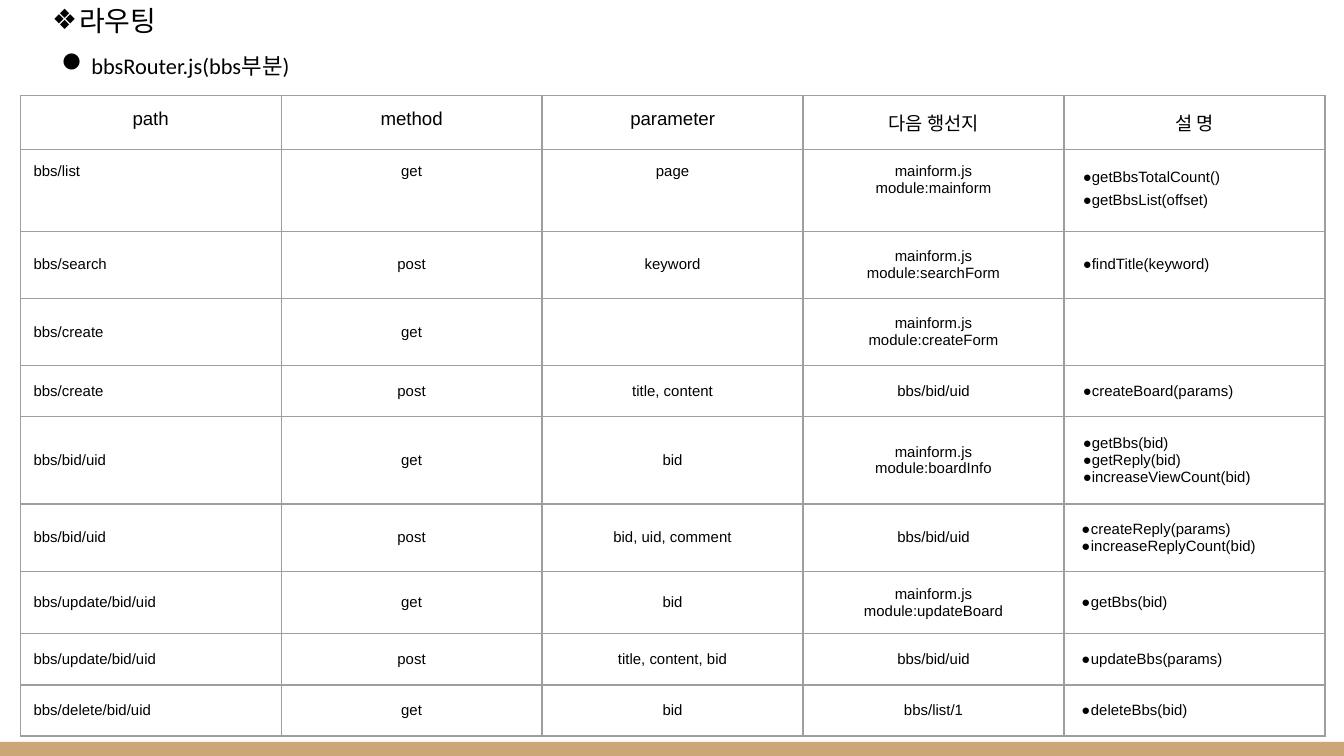
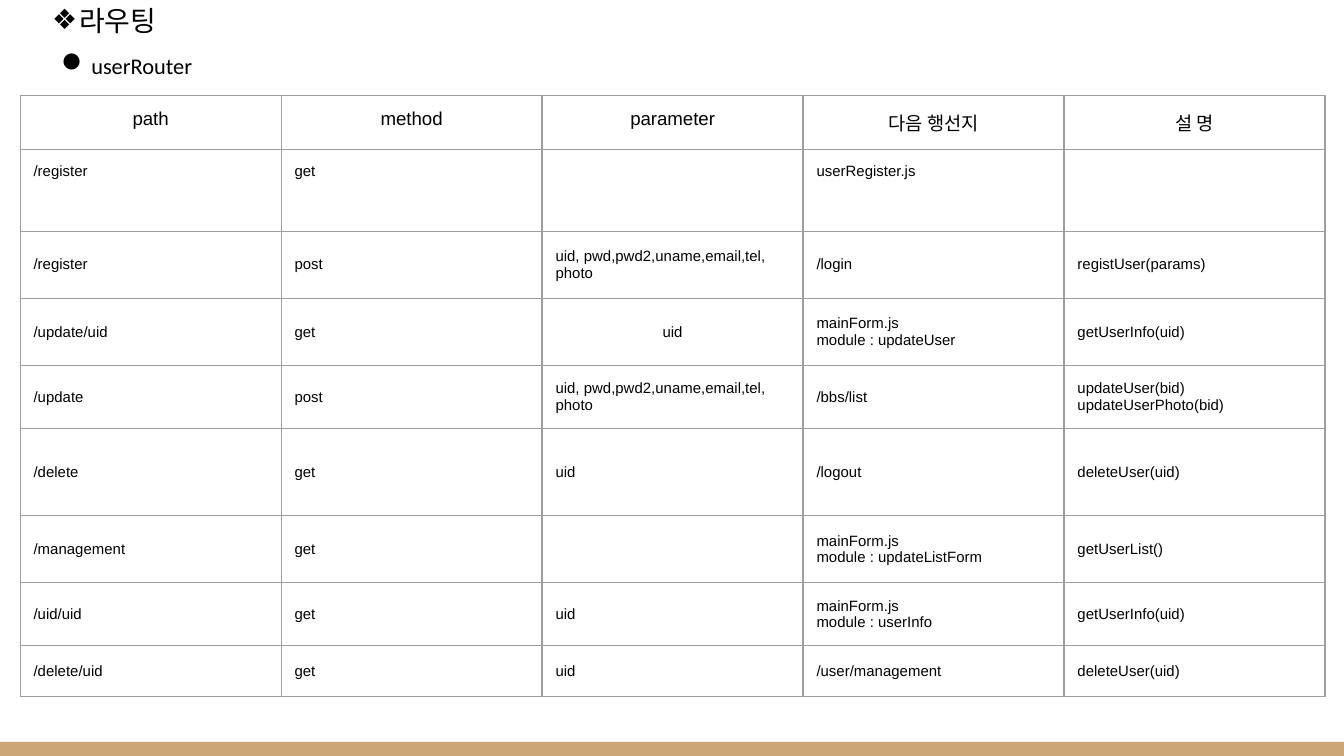
from lxml.etree import SubElement
from pptx import Presentation
from pptx.dml.color import RGBColor
from pptx.enum.shapes import MSO_SHAPE
from pptx.enum.text import MSO_ANCHOR, PP_ALIGN
from pptx.oxml import parse_xml
from pptx.oxml.ns import nsdecls, qn
from pptx.util import Inches, Pt

COLORS = {"text": "000000", "band": "CCA677", "border": "9E9E9E", "background": "FFFFFF"}
TITLE_FONT, TABLE_FONT = "Calibri", "Arial"
HEADING = "라우팅"
HEADERS = ["path", "method", "parameter", "다음 행선지", "설 명"]
ROW_HEIGHTS = [0.4, 0.61, 0.5, 0.5, 0.38, 0.65, 0.5, 0.38, 0.38, 0.38]
SLIDE_WIDTH = Inches(10)
SLIDE_HEIGHT = SLIDE_WIDTH * 9 // 16
TABLE_LEFT, TABLE_TOP, TABLE_WIDTH = 0.15, 0.71, 9.71
FRAME_SIZE = 3.28
LEFT, CENTER = PP_ALIGN.LEFT, PP_ALIGN.CENTER

# A line break in a cell starts a new paragraph.
BBS_ROUTES = [
    ("bbs/list", "get", "page", "mainform.js\nmodule:mainform",
     "getBbsTotalCount()\ngetBbsList(offset)"),
    ("bbs/search", "post", "keyword", "mainform.js\nmodule:searchForm", "findTitle(keyword)"),
    ("bbs/create", "get", "", "mainform.js\nmodule:createForm", ""),
    ("bbs/create", "post", "title, content", "bbs/bid/uid", "createBoard(params)"),
    ("bbs/bid/uid", "get", "bid", "mainform.js\nmodule:boardInfo",
     "getBbs(bid)\ngetReply(bid)\nincreaseViewCount(bid)"),
    ("bbs/bid/uid", "post", "bid, uid, comment", "bbs/bid/uid",
     "createReply(params)\nincreaseReplyCount(bid)"),
    ("bbs/update/bid/uid", "get", "bid", "mainform.js\nmodule:updateBoard", "getBbs(bid)"),
    ("bbs/update/bid/uid", "post", "title, content, bid", "bbs/bid/uid", "updateBbs(params)"),
    ("bbs/delete/bid/uid", "get", "bid", "bbs/list/1", "deleteBbs(bid)"),
]
USER_FIELDS = "uid, pwd,pwd2,uname,email,tel,\nphoto"
USER_ROUTES = [
    ("/register", "get", "", "userRegister.js", ""),
    ("/register", "post", USER_FIELDS, "/login", "registUser(params)"),
    ("/update/uid", "get", "uid", "mainForm.js\nmodule : updateUser", "getUserInfo(uid)"),
    ("/update", "post", USER_FIELDS, "/bbs/list", "updateUser(bid)\nupdateUserPhoto(bid)"),
    ("/delete", "get", "uid", "/logout", "deleteUser(uid)"),
    ("/management", "get", "", "mainForm.js\nmodule : updateListForm", "getUserList()"),
    ("/uid/uid", "get", "uid", "mainForm.js\nmodule : userInfo", "getUserInfo(uid)"),
    ("/delete/uid", "get", "uid", "/user/management", "deleteUser(uid)"),
]
SLIDES = [
    {"router": "bbsRouter.js(bbs부분)", "routes": BBS_ROUTES, "bulleted": True,
     "alignments": [LEFT, CENTER, CENTER, CENTER, LEFT], "centered_cells": set()},
    {"router": "userRouter", "routes": USER_ROUTES, "bulleted": False,
     "alignments": [LEFT] * 5, "centered_cells": {(3, 2)}},
]


def color(name):
    return RGBColor.from_string(COLORS[name])


def add_run(paragraph, text, size, font_name):
    run = paragraph.add_run()
    run.text = text
    run.font.size = Pt(size)
    run.font.name = font_name
    run.font.color.rgb = color("text")


def set_bullet(paragraph, character, margin, indent):
    properties = paragraph._p.get_or_add_pPr()
    properties.set("marL", str(Inches(margin)))
    properties.set("indent", str(Inches(indent)))
    bullet_color = SubElement(properties, qn("a:buClr"))
    SubElement(bullet_color, qn("a:srgbClr"), val=COLORS["text"])
    SubElement(properties, qn("a:buFont"), typeface=TABLE_FONT)
    SubElement(properties, qn("a:buChar"), char=character)


def set_insets(target):
    """Give a text frame or a cell the same margin on every side."""
    target.margin_left = target.margin_right = Inches(0.1)
    target.margin_top = target.margin_bottom = Inches(0.1)


def set_borders(cell):
    properties = cell._tc.get_or_add_tcPr()
    for position, side in enumerate(("lnL", "lnR", "lnT", "lnB")):
        properties.insert(position, parse_xml(
            f'<a:{side} {nsdecls("a")} w="{Pt(0.75)}"><a:solidFill>'
            f'<a:srgbClr val="{COLORS["border"]}"/></a:solidFill></a:{side}>'))


def add_band(slide):
    band = slide.shapes.add_shape(
        MSO_SHAPE.RECTANGLE, 0, Inches(5.52), SLIDE_WIDTH, Inches(0.11))
    band.shadow.inherit = False
    band.fill.solid()
    band.fill.fore_color.rgb = color("band")
    band.line.fill.background()


def add_title(slide, router):
    frame = slide.shapes.add_textbox(
        0, Inches(0.12), Inches(8.41), Inches(0.59)).text_frame
    frame.word_wrap = True
    frame.vertical_anchor = MSO_ANCHOR.BOTTOM
    set_insets(frame)
    heading = frame.paragraphs[0]
    set_bullet(heading, "❖", 0.49, -0.2)
    add_run(heading, HEADING, 15, TITLE_FONT)
    subheading = frame.add_paragraph()
    set_bullet(subheading, "●", 0.3, 0.05)
    add_run(subheading, " ", 20, TITLE_FONT)
    add_run(subheading, router, 12, TITLE_FONT)


def fill_cell(cell, text, size, alignment, bullet_indent, line_spacing):
    set_insets(cell)
    cell.fill.background()
    set_borders(cell)
    if not text:
        return
    for index, line in enumerate(text.split("\n")):
        frame = cell.text_frame
        paragraph = frame.add_paragraph() if index else frame.paragraphs[0]
        paragraph.alignment = alignment
        if line_spacing:
            paragraph.line_spacing = line_spacing
        if bullet_indent:
            set_bullet(paragraph, "●", 0.1, bullet_indent)
        add_run(paragraph, line, size, TABLE_FONT)


def add_route_table(slide, content):
    rows = [HEADERS] + content["routes"]
    graphic_frame = slide.shapes.add_table(
        len(rows), len(HEADERS), Inches(TABLE_LEFT), Inches(TABLE_TOP),
        Inches(FRAME_SIZE), Inches(FRAME_SIZE))
    table = graphic_frame.table
    table.first_row = table.horz_banding = False
    for column in table.columns:
        column.width = Inches(TABLE_WIDTH / len(HEADERS))
    for row_index, (values, height) in enumerate(zip(rows, ROW_HEIGHTS)):
        table.rows[row_index].height = Inches(height)
        is_header = row_index == 0
        for column_index, text in enumerate(values):
            cell = table.cell(row_index, column_index)
            cell.vertical_anchor = MSO_ANCHOR.TOP if row_index < 2 else MSO_ANCHOR.MIDDLE
            centered = is_header or (row_index, column_index) in content["centered_cells"]
            alignment = CENTER if centered else content["alignments"][column_index]
            bulleted = (content["bulleted"] and not is_header
                        and column_index == len(HEADERS) - 1)
            bullet_indent = (-0.06 if row_index < 6 else -0.07) if bulleted else None
            line_spacing = 1.38 if bulleted and row_index == 1 else None
            fill_cell(cell, text, 10 if is_header else 8, alignment,
                      bullet_indent, line_spacing)
    graphic_frame.width = graphic_frame.height = Inches(FRAME_SIZE)


def main():
    presentation = Presentation()
    presentation.slide_width = SLIDE_WIDTH
    presentation.slide_height = SLIDE_HEIGHT
    for content in SLIDES:
        slide = presentation.slides.add_slide(presentation.slide_layouts[6])
        slide.background.fill.solid()
        slide.background.fill.fore_color.rgb = color("background")
        add_band(slide)
        add_title(slide, content["router"])
        add_route_table(slide, content)
    presentation.save("out.pptx")


if __name__ == "__main__":
    main()
